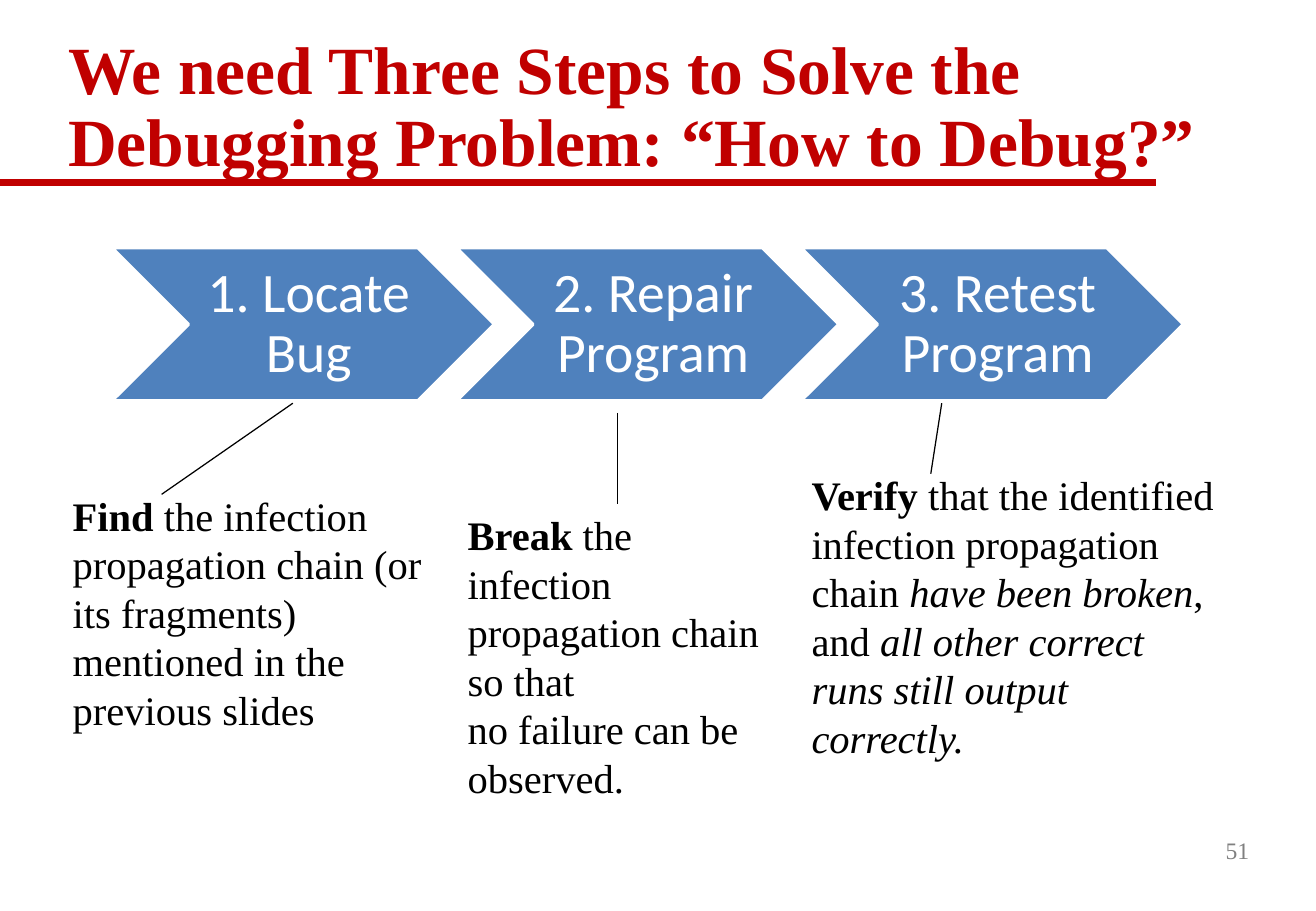
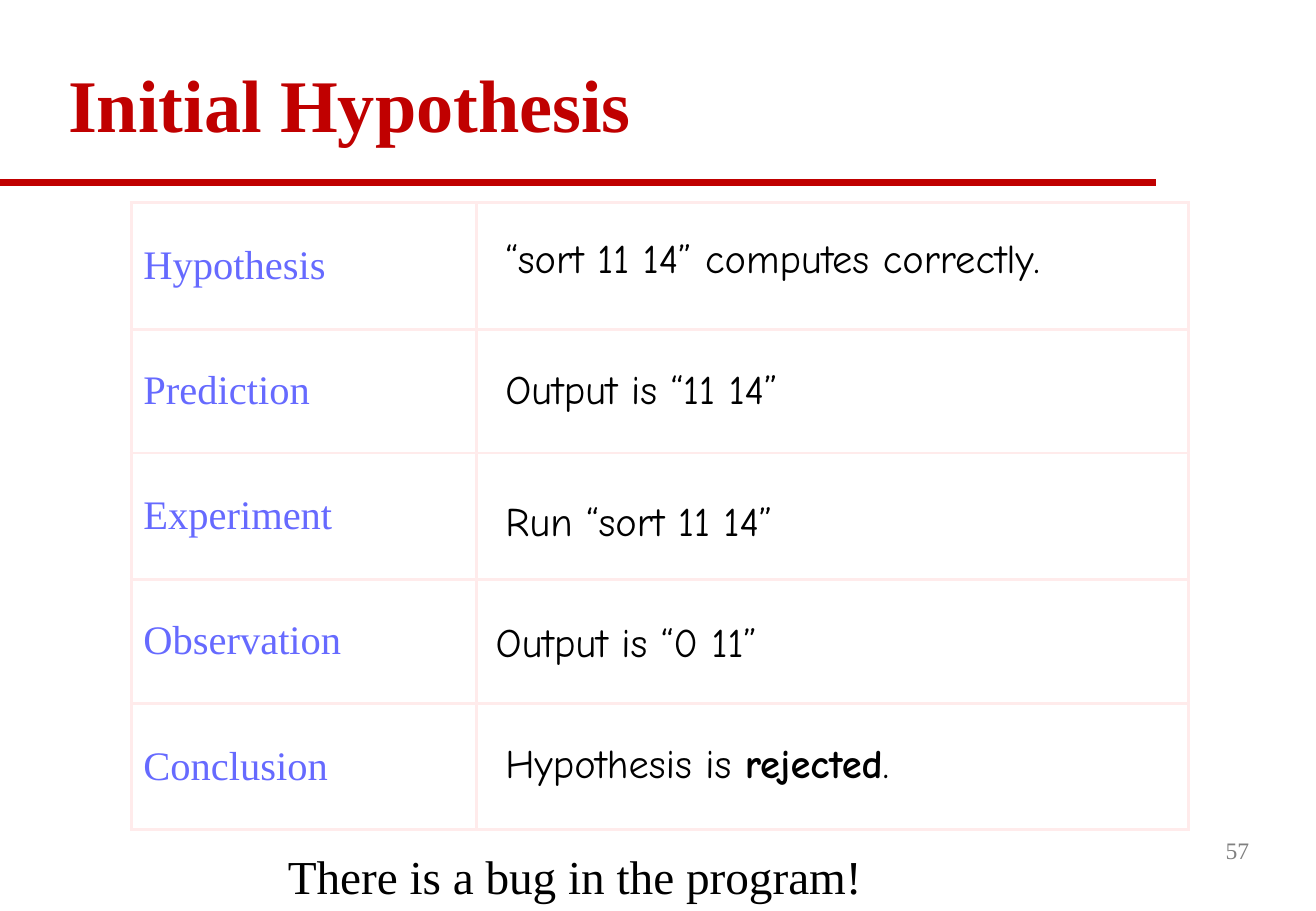
from lxml import etree
from pptx import Presentation
from pptx.dml.color import RGBColor
from pptx.enum.shapes import MSO_CONNECTOR, MSO_SHAPE
from pptx.enum.text import MSO_ANCHOR, MSO_AUTO_SIZE, PP_ALIGN
from pptx.oxml.ns import qn
from pptx.util import Pt

PX = 9144
LEFT, CENTER, RIGHT = PP_ALIGN.LEFT, PP_ALIGN.CENTER, PP_ALIGN.RIGHT
TOP, MIDDLE = MSO_ANCHOR.TOP, MSO_ANCHOR.MIDDLE
NO_FIT = MSO_AUTO_SIZE.NONE
STRAIGHT = MSO_CONNECTOR.STRAIGHT
CHEVRON = MSO_SHAPE.CHEVRON

COLORS = {
    "red": "C00000",
    "blue": "4F81BD",
    "violet": "666AFF",
    "pink": "FFEBEB",
    "grey": "808080",
    "black": "000000",
    "white": "FFFFFF",
}
SERIF, SANS, HAND = "Times New Roman", "Calibri", "Comic Neue"
INSETS = (10, 5, 10, 5)

STEPS = [
    ("1. Locate Bug", (50, 399, 342, 212), (241, 332, 133, 407),
     [[("Find", "b"),
       (" the infection propagation chain (or its fragments) mentioned in the previous slides", "")]]),
    ("2. Repair Program", (375, 415, 267, 252), (508, 340, 508, 415),
     [[("Break", "b"), (" the infection propagation chain so that", "")],
      [("no failure can be observed.", "")]]),
    ("3. Retest Program", (658, 382, 358, 252), (775, 332, 766, 390),
     [[("Verify", "b"), (" that the identified infection propagation chain ", ""),
       ("have been broken", "i"), (", and ", ""),
       ("all other correct runs still output correctly.", "i")]]),
]

FINDINGS = [
    ("Hypothesis", 104, (416, 192), [("“sort 11 14” computes correctly.", "")]),
    ("Prediction", 102, (416, 300), [("Output is “11 14”", "")]),
    ("Experiment", 104, (416, 408), [("Run “sort 11 14”", "")]),
    ("Observation", 102, (408, 508), [("Output is “0 11”", "")]),
    ("Conclusion", 104, (416, 608),
     [("Hypothesis is ", ""), ("rejected", "b"), (".", "")]),
]


def px(*values):
    return [round(v * PX) for v in values]


def rgb(name):
    return RGBColor.from_string(COLORS[name])


def style_font(font, face, size, color):
    font.name = face
    font.size = Pt(size)
    font.color.rgb = rgb(color)


def set_frame(tf, insets, anchor, wrap=True):
    tf.margin_left, tf.margin_top, tf.margin_right, tf.margin_bottom = px(*insets)
    tf.vertical_anchor = anchor
    tf.word_wrap = wrap
    tf.auto_size = NO_FIT


def add_text(s, box, paragraphs, size, face=SERIF, color="black", align=LEFT,
             anchor=TOP, insets=INSETS, wrap=True):
    tf = s.shapes.add_textbox(*px(*box)).text_frame
    set_frame(tf, insets, anchor, wrap)
    for i, parts in enumerate(paragraphs):
        p = tf.add_paragraph() if i else tf.paragraphs[0]
        p.alignment = align
        for text, emphasis in parts:
            r = p.add_run()
            r.text = text
            style_font(r.font, face, size, color)
            r.font.bold = emphasis == "b"
            r.font.italic = emphasis == "i"


def add_line(s, ends, color, width):
    line = s.shapes.add_connector(STRAIGHT, *px(*ends))
    line.line.color.rgb = rgb(color)
    line.line.width = Pt(width)
    etree.SubElement(line._element.spPr, qn("a:effectLst"))


def add_base(prs, title, size, number):
    s = prs.slides.add_slide(prs.slide_layouts[5])
    add_line(s, (0, 150, 951, 150), "red", 4)
    add_text(s, (812, 675, 226, 50), [[(number, "")]], 14, color="grey",
             align=RIGHT, anchor=MIDDLE)
    sp = s.shapes.title
    sp.left, sp.top, sp.width, sp.height = px(45, 29, 988, 121)
    tf = sp.text_frame
    tf.text = title
    set_frame(tf, (11, 0, 13, 0), MIDDLE)
    p = tf.paragraphs[0]
    p.alignment = LEFT
    p.line_spacing = 0.9
    style_font(p.runs[0].font, SERIF, size, "red")
    p.runs[0].font.bold = True
    return s


def add_chevron(s, box, text):
    sp = s.shapes.add_shape(CHEVRON, *px(*box))
    sp.shadow.inherit = False
    sp.fill.solid()
    sp.fill.fore_color.rgb = rgb("blue")
    sp.line.color.rgb = rgb("white")
    sp.line.width = Pt(2)
    tf = sp.text_frame
    tf.text = text
    set_frame(tf, (14, 5, 5, 5), MIDDLE)
    p = tf.paragraphs[0]
    p.alignment = CENTER
    p.line_spacing = 0.9
    style_font(p.runs[0].font, SANS, 33, "white")


def add_process(s, box):
    left, top, width, height = box
    chevron_w = 315
    pitch = (width - chevron_w) / (len(STEPS) - 1)
    for i, (label, note_box, ends, note) in enumerate(STEPS):
        add_chevron(s, (left + i * pitch, top, chevron_w, height), label)
        add_text(s, note_box, note, 24)
        add_line(s, ends, "black", 0.75)


def set_borders(cell, color, width):
    tc_pr = cell._tc.get_or_add_tcPr()
    for i, side in enumerate(("lnL", "lnR", "lnT", "lnB")):
        ln = etree.Element(qn("a:" + side), w=str(Pt(width)))
        fill = etree.SubElement(ln, qn("a:solidFill"))
        etree.SubElement(fill, qn("a:srgbClr"), val=COLORS[color])
        tc_pr.insert(i, ln)


def add_findings(s, box):
    table = s.shapes.add_table(len(FINDINGS), 2, *px(*box)).table
    table.first_row = False
    table.horz_banding = False
    label_w = 284
    table.columns[0].width, table.columns[1].width = px(label_w, box[2] - label_w)
    for row, (label, height, (left, top), answer) in enumerate(FINDINGS):
        table.rows[row].height = px(height)[0]
        for col in range(2):
            cell = table.cell(row, col)
            cell.fill.background()
            set_borders(cell, "pink", 2)
        cell = table.cell(row, 0)
        cell.text = label
        cell.vertical_anchor = MIDDLE
        cell.margin_left, cell.margin_top, cell.margin_right, cell.margin_bottom = px(10, 3, 3, 3)
        style_font(cell.text_frame.paragraphs[0].runs[0].font, SERIF, 24, "violet")
        add_text(s, (left, top, 586, 57), [answer], 24, HAND, insets=(0, 0, 0, 0))


def build_steps(prs):
    s = add_base(prs, "We need Three Steps to Solve the Debugging Problem: “How to Debug?”", 40, "51")
    add_process(s, (92, 204, 882, 126))


def build_hypothesis(prs):
    s = add_base(prs, "Initial Hypothesis", 44, "57")
    add_findings(s, (108, 167, 870, 516))
    add_text(s, (227, 693, 498, 57), [[("There is a bug in the program!", "")]], 28, wrap=False)


def main():
    prs = Presentation()
    prs.slide_width, prs.slide_height = px(1083, 750)
    build_steps(prs)
    build_hypothesis(prs)
    prs.save("out.pptx")


if __name__ == "__main__":
    main()
